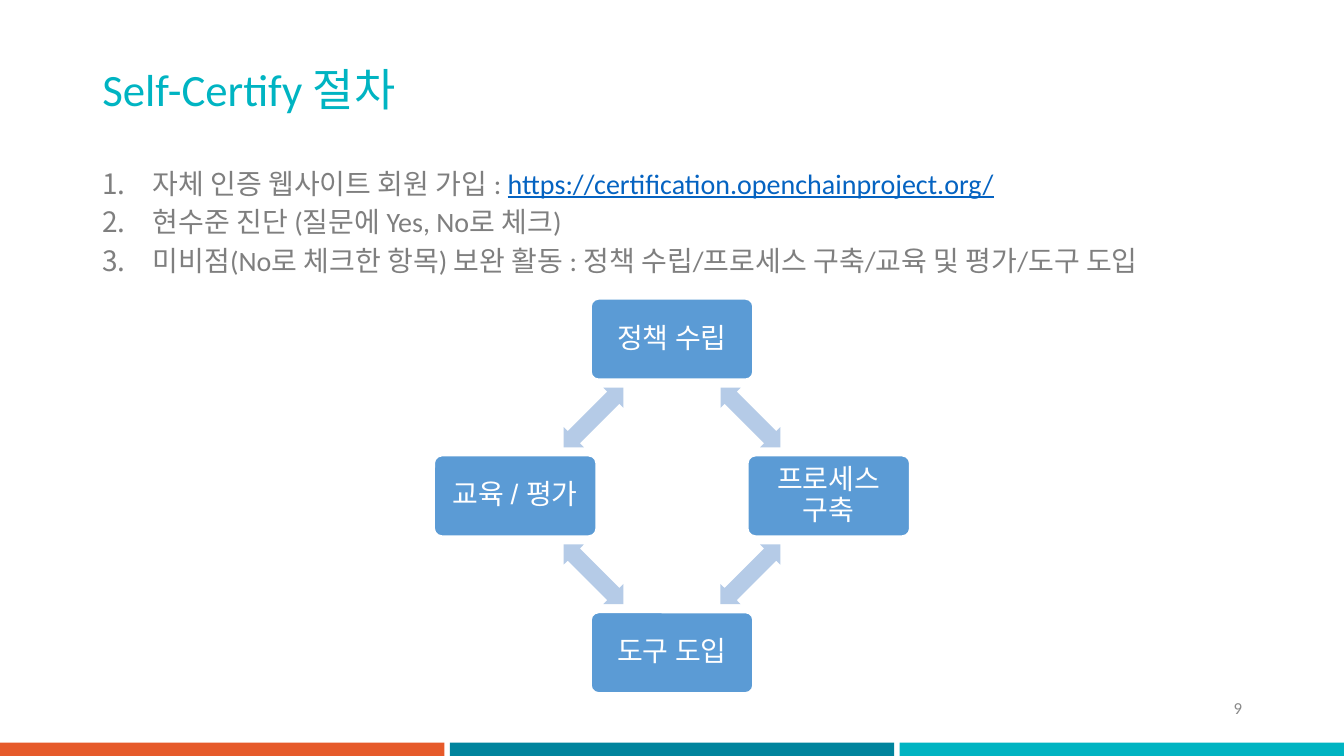
from dataclasses import dataclass

from lxml import etree
from pptx import Presentation
from pptx import util as u
from pptx.dml.color import RGBColor
from pptx.enum import shapes, text
from pptx.oxml import ns
from pptx.slide import Slide

ORANGE = RGBColor(0xE6, 0x5A, 0x2A)
TEAL = RGBColor(0x00, 0x84, 0x9D)
CYAN = RGBColor(0x00, 0xB4, 0xC2)
GREY = RGBColor(0x7F, 0x7F, 0x7F)
PALE_GREY = RGBColor(0x89, 0x89, 0x89)
LINK_BLUE = RGBColor(0x05, 0x63, 0xC1)
BLUE = RGBColor(0x5B, 0x9B, 0xD5)
PALE_BLUE = RGBColor(0xB5, 0xCB, 0xE7)
WHITE = RGBColor(0xFF, 0xFF, 0xFF)

PAGE_WIDTH, PAGE_HEIGHT = 960, 540
CYCLE_X, CYCLE_Y, CYCLE_RADIUS = 480, 354.2, 112
STAGE_WIDTH, STAGE_HEIGHT = 116.6, 58.3
ARROW_WIDTH, ARROW_HEIGHT = 60.4, 20.4
BAR_TOP, BAR_WIDTH, BAR_PITCH = 530.4, 317.4, 321.3


@dataclass(frozen=True)
class Area:
    left: float
    top: float
    width: float
    height: float

    def lengths(self) -> list[u.Pt]:
        return [u.Pt(v) for v in (self.left, self.top, self.width, self.height)]


@dataclass(frozen=True)
class Span:
    words: str
    size: int
    color: RGBColor
    font: str = "Calibri"
    underline: bool = False


@dataclass(frozen=True)
class Stage:
    label: str
    across: int
    down: int


def centred(x: float, y: float, width: float, height: float) -> Area:
    return Area(x - width / 2, y - height / 2, width, height)


def apply(target, values: dict) -> None:
    for name, value in values.items():
        setattr(target, name, value)


def add_spans(para, spans: list[Span]) -> None:
    for span in spans:
        run = para.add_run()
        run.text = span.words
        apply(run.font, {"name": span.font, "size": u.Pt(span.size),
                         "underline": span.underline})
        run.font.color.rgb = span.color


def add_number(para, color: RGBColor) -> None:
    props = para._p.get_or_add_pPr()
    props.set("marL", str(u.Pt(36)))
    props.set("indent", str(u.Pt(-36)))
    bullet_color = etree.SubElement(props, ns.qn("a:buClr"))
    etree.SubElement(bullet_color, ns.qn("a:srgbClr"), val=str(color))
    etree.SubElement(props, ns.qn("a:buAutoNum"), type="arabicPeriod")


def add_text(page: Slide, area: Area, lines: list[list[Span]], para_format: dict,
             anchor=text.MSO_ANCHOR.MIDDLE, numbered: bool = False) -> None:
    frame = page.shapes.add_textbox(*area.lengths()).text_frame
    apply(frame, {"word_wrap": True, "vertical_anchor": anchor})
    for index, spans in enumerate(lines):
        para = frame.add_paragraph() if index else frame.paragraphs[0]
        if numbered:
            add_number(para, GREY)
        apply(para, para_format)
        add_spans(para, spans)


def add_solid(page: Slide, kind, area: Area, color: RGBColor,
              adjustments: tuple[float, ...] = (), rotation: float = 0):
    shape = page.shapes.add_shape(kind, *area.lengths())
    shape.shadow.inherit = False
    shape.fill.solid()
    shape.fill.fore_color.rgb = color
    shape.line.fill.background()
    shape.rotation = rotation
    for index, value in enumerate(adjustments):
        shape.adjustments[index] = value
    return shape


def add_stage(page: Slide, stage: Stage) -> None:
    area = centred(CYCLE_X + stage.across * CYCLE_RADIUS,
                   CYCLE_Y + stage.down * CYCLE_RADIUS, STAGE_WIDTH, STAGE_HEIGHT)
    box = add_solid(page, shapes.MSO_SHAPE.ROUNDED_RECTANGLE, area, BLUE, (0.1,))
    box.line.color.rgb = WHITE
    box.line.width = u.Pt(2)
    margins = {f"margin_{side}": u.Pt(7.4) for side in ("left", "top", "right", "bottom")}
    apply(box.text_frame, margins | {"word_wrap": True,
                                     "vertical_anchor": text.MSO_ANCHOR.MIDDLE})
    para = box.text_frame.paragraphs[0]
    apply(para, {"alignment": text.PP_ALIGN.CENTER, "line_spacing": 0.9})
    add_spans(para, [Span(stage.label, 20, WHITE, "Arial")])


def add_cycle(page: Slide, stages: list[Stage]) -> None:
    # Each arrow sits halfway between a stage and the next one
    for index, stage in enumerate(stages):
        add_stage(page, stage)
        following = stages[(index + 1) % len(stages)]
        area = centred(CYCLE_X + (stage.across + following.across) * CYCLE_RADIUS / 2,
                       CYCLE_Y + (stage.down + following.down) * CYCLE_RADIUS / 2,
                       ARROW_WIDTH, ARROW_HEIGHT)
        add_solid(page, shapes.MSO_SHAPE.LEFT_RIGHT_ARROW, area, PALE_BLUE,
                  (0.6, 0.5), 45 + 90 * index)


def main() -> None:
    deck = Presentation()
    deck.slide_width, deck.slide_height = u.Pt(PAGE_WIDTH), u.Pt(PAGE_HEIGHT)
    page = deck.slides.add_slide(deck.slide_layouts[6])

    # Footer bars
    for index, color in enumerate((ORANGE, TEAL, CYAN)):
        add_solid(page, shapes.MSO_SHAPE.RECTANGLE,
                  Area(index * BAR_PITCH, BAR_TOP, BAR_WIDTH, PAGE_HEIGHT - BAR_TOP), color)

    # Title
    add_text(page, Area(66, 28.8, 828, 74.2), [[Span("Self-Certify 절차", 32, CYAN)]],
             {"line_spacing": 0.9})

    # Numbered steps
    steps = [
        [Span("자체 인증 웹사이트 회원 가입 : ", 20, GREY),
         Span("https://certification.openchainproject.org/", 20, LINK_BLUE, underline=True)],
        [Span("현수준 진단 (질문에 Yes, No로 체크)", 20, GREY)],
        [Span("미비점(No로 체크한 항목) 보완 활동 : "
              "정책 수립/프로세스 구축/교육 및 평가/도구 도입", 20, GREY)],
    ]
    add_text(page, Area(66, 111.6, 828, 334), steps, {"line_spacing": 1.15},
             text.MSO_ANCHOR.TOP, numbered=True)

    # Page number
    add_text(page, Area(791.3, 491, 103, 28.8), [[Span("9", 12, PALE_GREY)]],
             {"alignment": text.PP_ALIGN.RIGHT})

    # Improvement cycle, clockwise from the top
    add_cycle(page, [Stage("정책 수립", 0, -1), Stage("프로세스 구축", 1, 0),
                     Stage("도구 도입", 0, 1), Stage("교육 / 평가", -1, 0)])

    deck.save("out.pptx")


if __name__ == "__main__":
    main()
